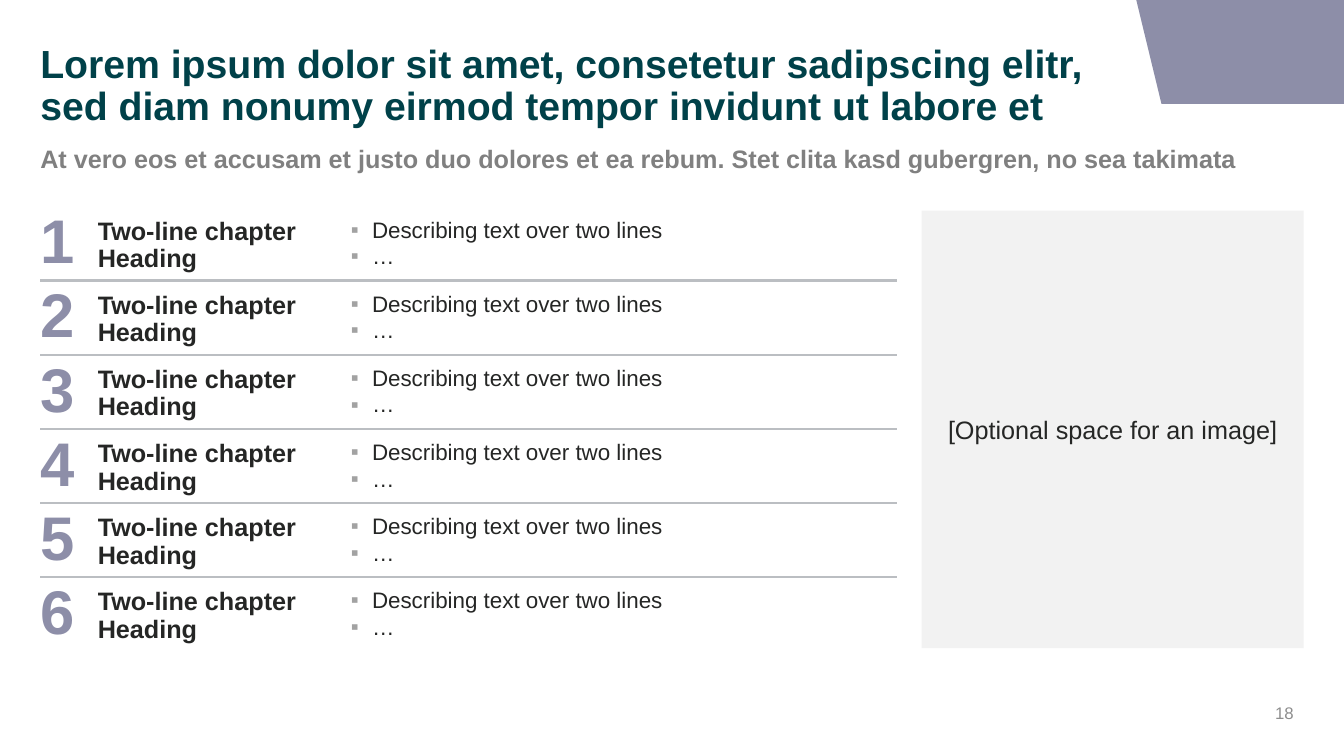
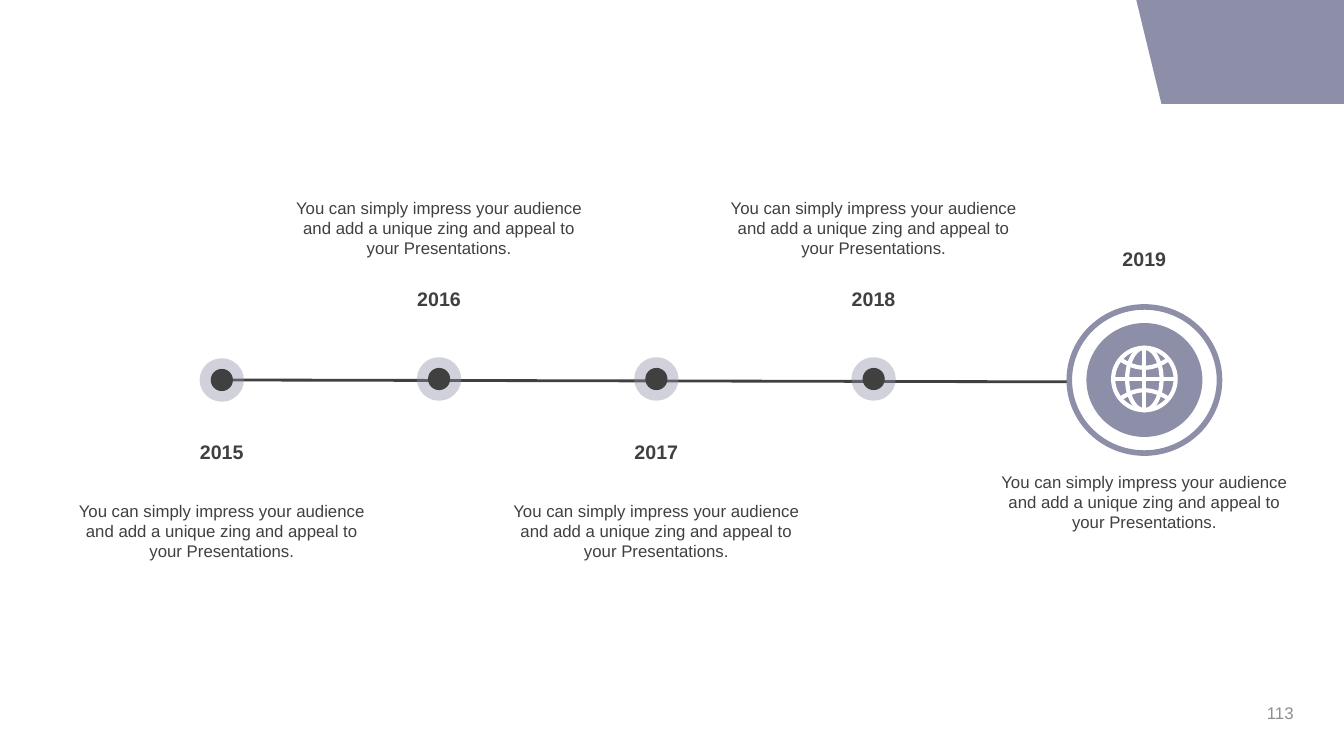
from lxml import etree
from pptx import Presentation
from pptx import util as u
from pptx.dml.color import RGBColor
from pptx.enum import shapes, text
from pptx.oxml.ns import qn

LAVENDER = RGBColor(0x8D, 0x8E, 0xA8)
TEAL = RGBColor(0x00, 0x41, 0x49)
SUBTITLE_GREY = RGBColor(0x80, 0x80, 0x80)
INK = RGBColor(0x25, 0x26, 0x25)
CHARCOAL = RGBColor(0x40, 0x40, 0x40)
RULE_GREY = RGBColor(0xBB, 0xBE, 0xC2)
BULLET_GREY = RGBColor(0xA2, 0xA2, 0xA2)
NUMBER_GREY = RGBColor(0x8E, 0x8E, 0x8E)
PANEL_GREY = RGBColor(0xF2, 0xF2, 0xF2)
WHITE = RGBColor(0xFF, 0xFF, 0xFF)
FONT = "Arial"
TITLE_ONLY, BLANK = 5, 6
LEFT, CENTER, RIGHT = text.PP_ALIGN.LEFT, text.PP_ALIGN.CENTER, text.PP_ALIGN.RIGHT
TOP, MIDDLE = text.MSO_ANCHOR.TOP, text.MSO_ANCHOR.MIDDLE


def inches(*lengths):
    """Convert several lengths at once."""
    return [u.Inches(length) for length in lengths]


def add_bullet(paragraph, indent):
    """Give a paragraph a hanging square bullet."""
    props = paragraph._p.get_or_add_pPr()
    props.set("marL", str(u.Inches(indent)))
    props.set("indent", str(-u.Inches(indent)))
    colour = etree.SubElement(props, qn("a:buClr"))
    etree.SubElement(colour, qn("a:srgbClr"), val=str(BULLET_GREY))
    etree.SubElement(props, qn("a:buFont"), typeface=FONT)
    etree.SubElement(props, qn("a:buChar"), char="▪")


def write(shape, content, size=12, color=INK, bold=False, align=LEFT, anchor=TOP,
          inset=True, line_spacing=None, before=0, bullet_indent=None):
    """Fill a shape with formatted text, one paragraph per line."""
    frame = shape.text_frame
    frame.word_wrap = True
    frame.auto_size = text.MSO_AUTO_SIZE.NONE
    frame.vertical_anchor = anchor
    if not inset:
        frame.margin_left = frame.margin_right = 0
        frame.margin_top = frame.margin_bottom = 0
    frame.text = content
    for paragraph in frame.paragraphs:
        paragraph.alignment = align
        paragraph.space_before = u.Pt(before)
        if line_spacing:
            paragraph.line_spacing = line_spacing
        if bullet_indent:
            add_bullet(paragraph, bullet_indent)
        for run in paragraph.runs:
            run.font.name = FONT
            run.font.size = u.Pt(size)
            run.font.bold = bold
            run.font.color.rgb = color


def add_text(slide, box, content, **style):
    """Place a text box given as left, top, width, height."""
    write(slide.shapes.add_textbox(*inches(*box)), content, **style)


def paint(shape, fill=None, line=None, width=1, alpha=None):
    """Set fill and outline, and drop the shadow."""
    shape.shadow.inherit = False
    if fill is None:
        shape.fill.background()
    else:
        shape.fill.solid()
        shape.fill.fore_color.rgb = fill
    if alpha:
        colour = shape.fill._xPr.find(".//" + qn("a:srgbClr"))
        etree.SubElement(colour, qn("a:alpha"), val=str(alpha * 1000))
    if line is None:
        shape.line.fill.background()
    else:
        shape.line.color.rgb = line
        shape.line.width = u.Pt(width)


def add_ellipse(slide, center, size, **look):
    """Draw an ellipse around its centre."""
    (x, y), (width, height) = center, size
    oval = slide.shapes.add_shape(
        shapes.MSO_SHAPE.OVAL, *inches(x - width / 2, y - height / 2, width, height))
    paint(oval, **look)


def add_line(slide, start, end, color, width):
    """Draw a straight line without shadow."""
    line = slide.shapes.add_connector(
        shapes.MSO_CONNECTOR.STRAIGHT, *inches(*start, *end))
    line.line.color.rgb = color
    line.line.width = u.Pt(width)
    etree.SubElement(line._element.spPr, qn("a:effectLst"))


def add_outline(slide, points, close=True, **look):
    """Draw a freeform through points."""
    start, *rest = [inches(*point) for point in points]
    builder = slide.shapes.build_freeform(*start, scale=1.0)
    builder.add_line_segments(rest, close=close)
    paint(builder.convert_to_shape(), **look)


def new_slide(deck, layout, number):
    """Add a slide with the corner band and page number."""
    slide = deck.slides.add_slide(deck.slide_layouts[layout])
    add_outline(slide, [(11.27, 0), (13.33, 0), (13.33, 1.03), (11.52, 1.03)],
                fill=LAVENDER)
    add_text(slide, (9.93, 6.95, 3, 0.24), str(number),
             color=NUMBER_GREY, align=RIGHT, anchor=MIDDLE)
    return slide


def add_heading(slide, box, title, subtitle):
    """Place the title placeholder and the subtitle below it."""
    left, top, width, height = box
    heading = slide.shapes.title
    heading.left, heading.top, heading.width, heading.height = inches(*box)
    write(heading, title, size=28, color=TEAL, bold=True, inset=False, line_spacing=0.9)
    add_text(slide, (left, top + 0.98, width + 1.67, 0.34), subtitle, size=18,
             color=SUBTITLE_GREY, bold=True, inset=False, before=6)


def add_chapter(slide, box, number, heading, details):
    """Place one agenda row: number, heading and bullets."""
    left, top, width, height = box
    add_text(slide, (left, top, 0.4, height), str(number), size=44, color=LAVENDER,
             bold=True, inset=False, line_spacing=0.9, before=4)
    add_text(slide, (left + 0.57, top + 0.08, 2.27, 0.55), heading, size=18,
             bold=True, inset=False, line_spacing=0.9)
    add_text(slide, (left + 3.08, top + 0.08, width - 3.08, 0.51), details, size=16,
             inset=False, line_spacing=0.9, before=1.8, bullet_indent=0.21)


def add_agenda(slide, box, chapters):
    """Stack chapter rows with a rule between neighbours."""
    left, top, width, height = box
    pitch = height / len(chapters)
    for index, (heading, details) in enumerate(chapters):
        row_top = top + index * pitch
        add_chapter(slide, (left, row_top, width, 0.67), index + 1, heading, details)
        if index:
            rule = row_top - 0.04
            add_line(slide, (left, rule), (left + width, rule), RULE_GREY, 1.75)


def add_image_space(slide, box, label):
    """Draw the panel reserved for an image."""
    panel = slide.shapes.add_shape(shapes.MSO_SHAPE.RECTANGLE, *inches(*box))
    paint(panel, fill=PANEL_GREY)
    write(panel, label, size=18, align=CENTER, anchor=MIDDLE)


def add_globe(slide, center, radius):
    """Draw a globe of meridians and parallels."""
    x, y = center
    stroke = {"line": WHITE, "width": 3}
    add_ellipse(slide, center, (2 * radius, 2 * radius), **stroke)
    add_ellipse(slide, center, (1.1 * radius, 2 * radius), **stroke)
    add_line(slide, (x - radius, y), (x + radius, y), WHITE, 3)
    add_line(slide, (x, y - radius), (x, y + radius), WHITE, 3)
    steps = [step / 8 for step in range(-8, 9)]
    for side in (-1, 1):
        parallel = [(x + 0.75 * radius * t, y + side * radius * (0.36 + 0.26 * t * t))
                    for t in steps]
        add_outline(slide, parallel, close=False, **stroke)


def add_milestone(slide, x, year, year_top, note_top):
    """Place a year and its note centred on x."""
    add_text(slide, (x - 0.785, year_top, 1.57, 0.54), year, size=14, color=CHARCOAL,
             bold=True, align=CENTER, anchor=MIDDLE)
    add_text(slide, (x - 1.575, note_top, 3.15, 1.24),
             "You can simply impress your audience and add a unique zing "
             "and appeal to your Presentations.", color=CHARCOAL, align=CENTER)


def add_timeline(slide, box, years):
    """Draw the line, its dots, the final badge and the labels."""
    left, top, width, height = box
    middle = top + 1.86
    pitch, end = 2.155, left + width
    add_line(slide, (left + 0.11, middle), (end, middle + 0.02), CHARCOAL, 2)
    badge = (end, middle)
    add_ellipse(slide, badge, (1.49, 1.45), fill=WHITE, line=LAVENDER, width=4)
    add_ellipse(slide, badge, (1.15, 1.13), fill=LAVENDER)
    add_globe(slide, (end, middle - 0.01), 0.31)
    *earlier, final = years
    for index, year in enumerate(earlier):
        x = left + index * pitch
        dot = (x, middle - (0.01 if index else 0))
        add_ellipse(slide, dot, (0.44, 0.43), fill=LAVENDER, alpha=40)
        add_ellipse(slide, dot, (0.22, 0.22), fill=CHARCOAL)
        above = index % 2
        add_milestone(slide, x, year, top + (0.78 if above else 2.3),
                      top + (0 if above else 3.01))
    add_milestone(slide, end, final, top + 0.39, top + 2.72)


def build_agenda_slide(deck):
    """Build the chapter overview."""
    slide = new_slide(deck, TITLE_ONLY, 18)
    add_heading(slide, (0.4, 0.44, 10.87, 0.87),
                "Lorem ipsum dolor sit amet, consetetur sadipscing elitr, "
                "sed diam nonumy eirmod tempor invidunt ut labore et",
                "At vero eos et accusam et justo duo dolores et ea rebum. "
                "Stet clita kasd gubergren, no sea takimata")
    chapter = ("Two-line chapter Heading", "Describing text over two lines\n…")
    add_agenda(slide, (0.4, 2.09, 8.5, 4.41), [chapter] * 6)
    add_image_space(slide, (9.14, 2.09, 3.79, 4.34), "[Optional space for an image]")


def build_timeline_slide(deck):
    """Build the yearly timeline."""
    slide = new_slide(deck, BLANK, 113)
    add_timeline(slide, (2.2, 1.91, 9.15, 4.25),
                 ["2015", "2016", "2017", "2018", "2019"])


def main():
    """Build and save the deck."""
    deck = Presentation()
    deck.slide_width, deck.slide_height = inches(13.33, 7.5)
    build_agenda_slide(deck)
    build_timeline_slide(deck)
    deck.save("out.pptx")


if __name__ == "__main__":
    main()
